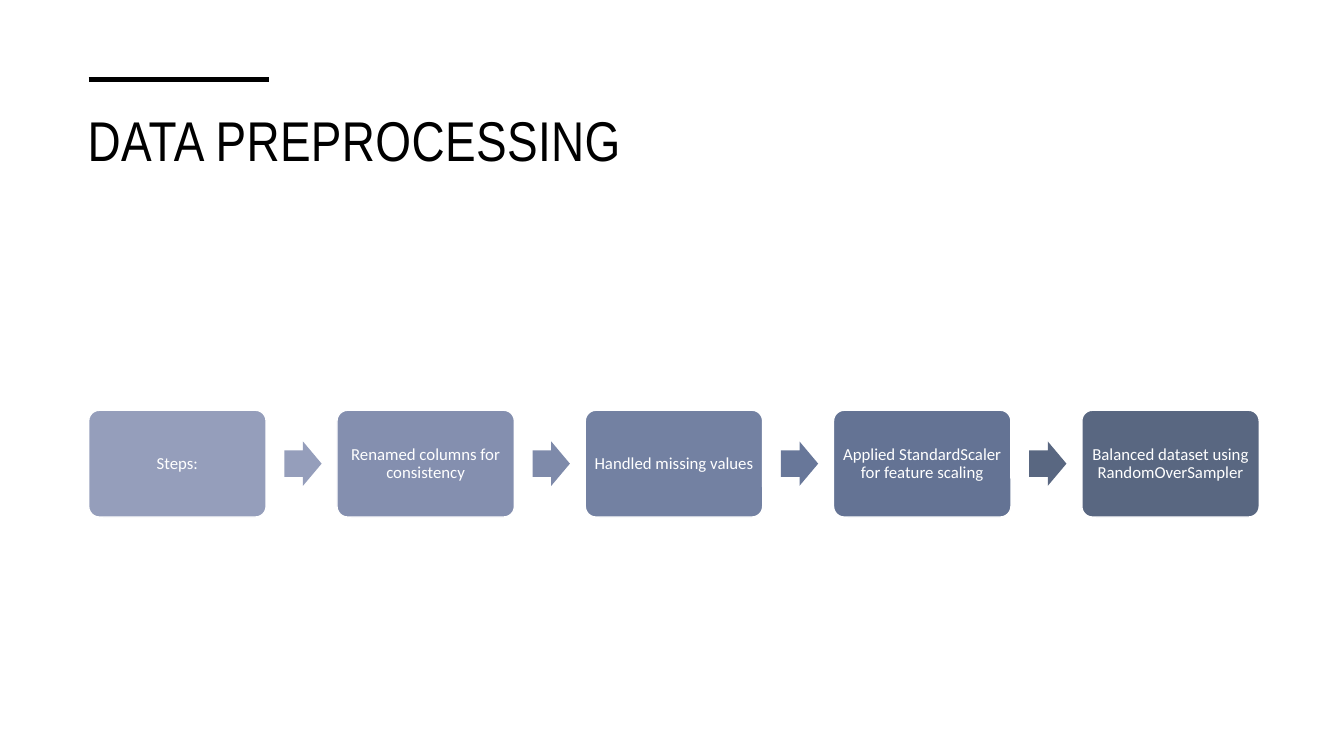
from lxml.etree import SubElement
from pptx import Presentation
from pptx.dml.color import RGBColor
from pptx.enum.shapes import MSO_CONNECTOR, MSO_SHAPE
from pptx.enum.text import MSO_ANCHOR, PP_ALIGN
from pptx.oxml.ns import qn
from pptx.util import Inches, Pt

# Content
TITLE = "DATA PREPROCESSING"
STEPS = [  # text, box colour, colour of the arrow that follows
    ("Steps:", "959EBB", "959EBB"),
    ("Renamed columns for consistency", "848FAF", "7E8AAA"),
    ("Handled missing values", "7381A2", "687799"),
    ("Applied StandardScaler for feature scaling", "647394", "596781"),
    ("Balanced dataset using RandomOverSampler", "596781", None),
]

# Layout in inches
BOX_LEFT, BOX_TOP, BOX_WIDTH, BOX_HEIGHT = 0.88, 4.07, 1.76, 1.06
STEP_PITCH = 2.4625
ARROW_OFFSET, ARROW_WIDTH, ARROW_HEIGHT = 1.94, 0.37, 0.44


def color(hex_code):
    return RGBColor.from_string(hex_code)


def write_text(shape, text, font="Calibri", size=12, hex_code="FFFFFF",
               align=PP_ALIGN.CENTER, anchor=MSO_ANCHOR.MIDDLE,
               insets=(0.05, 0.05), line_spacing=0.9, tracking=None):
    frame = shape.text_frame
    frame.word_wrap = True
    frame.vertical_anchor = anchor
    frame.margin_left = frame.margin_right = Inches(insets[0])
    frame.margin_top = frame.margin_bottom = Inches(insets[1])
    paragraph = frame.paragraphs[0]
    paragraph.alignment = align
    paragraph.line_spacing = line_spacing
    run = paragraph.add_run()
    run.text = text
    run.font.name = font
    run.font.size = Pt(size)
    run.font.color.rgb = color(hex_code)
    if tracking:
        run.font._element.set("spc", str(int(tracking * 100)))


def add_filled(slide, kind, left, top, width, height, fill, adjustments, outline=None):
    shape = slide.shapes.add_shape(
        kind, Inches(left), Inches(top), Inches(width), Inches(height))
    shape.shadow.inherit = False
    for index, value in enumerate(adjustments):
        shape.adjustments[index] = value
    shape.fill.solid()
    shape.fill.fore_color.rgb = color(fill)
    if outline:
        shape.line.color.rgb = color(outline)
        shape.line.width = Pt(1)
    else:
        shape.line.fill.background()
    return shape


def main():
    presentation = Presentation()
    presentation.slide_width = Inches(13.33)
    presentation.slide_height = Inches(7.5)
    slide = presentation.slides.add_slide(presentation.slide_layouts[6])

    # Title and the rule above it
    title = slide.shapes.add_textbox(
        Inches(0.77), Inches(1), Inches(11.81), Inches(1.15))
    write_text(title, TITLE, font="Arial Narrow", size=40, hex_code="000000",
               align=PP_ALIGN.LEFT, anchor=MSO_ANCHOR.TOP,
               insets=(0.1, 0.05), line_spacing=1.0, tracking=0.3)
    rule = slide.shapes.add_connector(
        MSO_CONNECTOR.STRAIGHT, Inches(0.88), Inches(0.79), Inches(2.67), Inches(0.79))
    rule.line.color.rgb = color("000000")
    rule.line.width = Pt(3.5)
    SubElement(rule._element.spPr, qn("a:effectLst"))

    # Process boxes, each followed by an arrow
    arrow_top = BOX_TOP + (BOX_HEIGHT - ARROW_HEIGHT) / 2
    for index, (text, box_color, arrow_color) in enumerate(STEPS):
        left = BOX_LEFT + index * STEP_PITCH
        box = add_filled(slide, MSO_SHAPE.ROUNDED_RECTANGLE, left, BOX_TOP,
                         BOX_WIDTH, BOX_HEIGHT, box_color, [0.1], outline="FFFFFF")
        write_text(box, text)
        if arrow_color:
            add_filled(slide, MSO_SHAPE.RIGHT_ARROW, left + ARROW_OFFSET, arrow_top,
                       ARROW_WIDTH, ARROW_HEIGHT, arrow_color, [0.6, 0.5])

    presentation.save("out.pptx")


if __name__ == "__main__":
    main()
